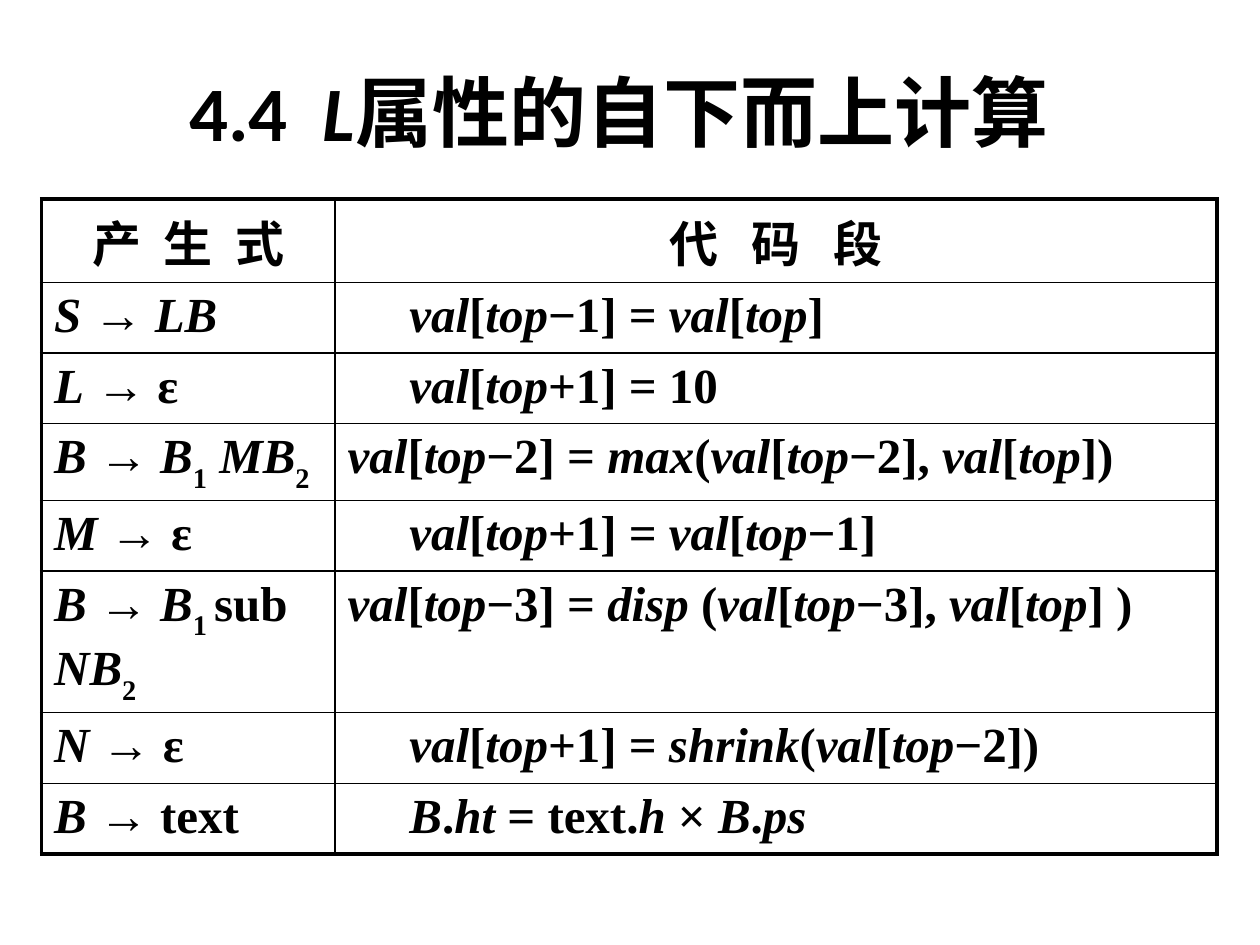
from pptx import Presentation
from pptx.dml.color import RGBColor
from pptx.enum.text import MSO_ANCHOR, PP_ALIGN
from pptx.oxml.ns import qn
from pptx.util import Inches, Pt
from lxml.etree import SubElement

BLACK = "000000"
CJK = "Noto Sans CJK SC"


def add_run(p, text, size, font, italic=False, spacing=0, ea=None):
    """Add a bold black run; spacing is the extra space per letter in points."""
    r = p.add_run()
    r.text = text
    r.font.size = Pt(size)
    r.font.name = font
    r.font.bold = True
    r.font.italic = italic
    r.font.color.rgb = RGBColor.from_string(BLACK)
    rPr = r.font._element
    SubElement(rPr, qn("a:ea")).set("typeface", ea or font)
    if spacing:
        rPr.set("spc", str(spacing * 100))
    return r


def set_borders(cell, widths):
    tcPr = cell._tc.get_or_add_tcPr()
    for side, width in zip("LRTB", widths):
        ln = SubElement(tcPr, qn(f"a:ln{side}"), w=str(Pt(width)))
        fill = SubElement(ln, qn("a:solidFill"))
        SubElement(fill, qn("a:srgbClr"), val=BLACK)


prs = Presentation()
prs.slide_width, prs.slide_height = Inches(10), Inches(7.5)
s = prs.slides.add_slide(prs.slide_layouts[5])

title = s.shapes.title
title.left, title.top = Inches(0.33), Inches(0.25)
title.width, title.height = Inches(9.17), Inches(1.25)
title.text_frame.vertical_anchor = MSO_ANCHOR.MIDDLE
p = title.text_frame.paragraphs[0]
p.alignment = PP_ALIGN.CENTER
add_run(p, "4.4", 44, "Calibri", ea=CJK)
add_run(p, " ", 44, "Calibri", spacing=10, ea=CJK)
add_run(p, "L", 44, "Calibri", italic=True, ea=CJK)
add_run(p, "属性的自下而上计算", 44, "Calibri", ea=CJK)

# Heading text with its letter spacing in points
headings = [("产生式", 13), ("代码段", 19)]

# *italic* and _subscript_; the flag says whether the code is indented
rules = [
    ("*S* → *LB*", "*val*[*top*−1] = *val*[*top*]", True),
    ("*L* → ε", "*val*[*top*+1] = 10", True),
    ("*B* → *B*_1_ *MB*_2_", "*val*[*top*−2] = *max*(*val*[*top*−2], *val*[*top*])", False),
    ("*M* → ε", "*val*[*top*+1] = *val*[*top*−1]", True),
    ("*B* → *B*_1 _sub *NB*_2_", "*val*[*top*−3] = *disp* (*val*[*top*−3], *val*[*top*] )", False),
    ("*N* → ε", "*val*[*top*+1] = *shrink*(*val*[*top*−2])", True),
    ("*B* → text", "*B*.*ht* = text.*h* × *B*.*ps*", True),
]

n_rows = len(rules) + 1
row_height = Inches(0.56)
tbl = s.shapes.add_table(n_rows, 2, Inches(0.33), Inches(1.58),
                         Inches(9.33), row_height * n_rows).table
tbl.first_row = tbl.horz_banding = False
tbl.columns[0].width, tbl.columns[1].width = Inches(2.33), Inches(7)

for i in range(n_rows):
    tbl.rows[i].height = row_height
    for j in range(2):
        cell = tbl.cell(i, j)
        outer = (j == 0, j == 1, i == 0, i == n_rows - 1)
        set_borders(cell, [2.25 if edge else 1 for edge in outer])
        cell.fill.background()
        p = cell.text_frame.paragraphs[0]
        if i == 0:
            text, spacing = headings[j]
            p.alignment = PP_ALIGN.CENTER
            add_run(p, text, 28, CJK, spacing=spacing)
            continue
        p.alignment = PP_ALIGN.LEFT
        if j == 1 and rules[i - 1][2]:
            cell.margin_left = Inches(0.59)
        for k, part in enumerate(rules[i - 1][j].split("*")):
            for m, piece in enumerate(part.split("_")):
                if piece:
                    r = add_run(p, piece, 28, "Times New Roman", italic=k % 2 == 1)
                    if m % 2:
                        r.font._element.set("baseline", "-30000")

prs.save("out.pptx")
